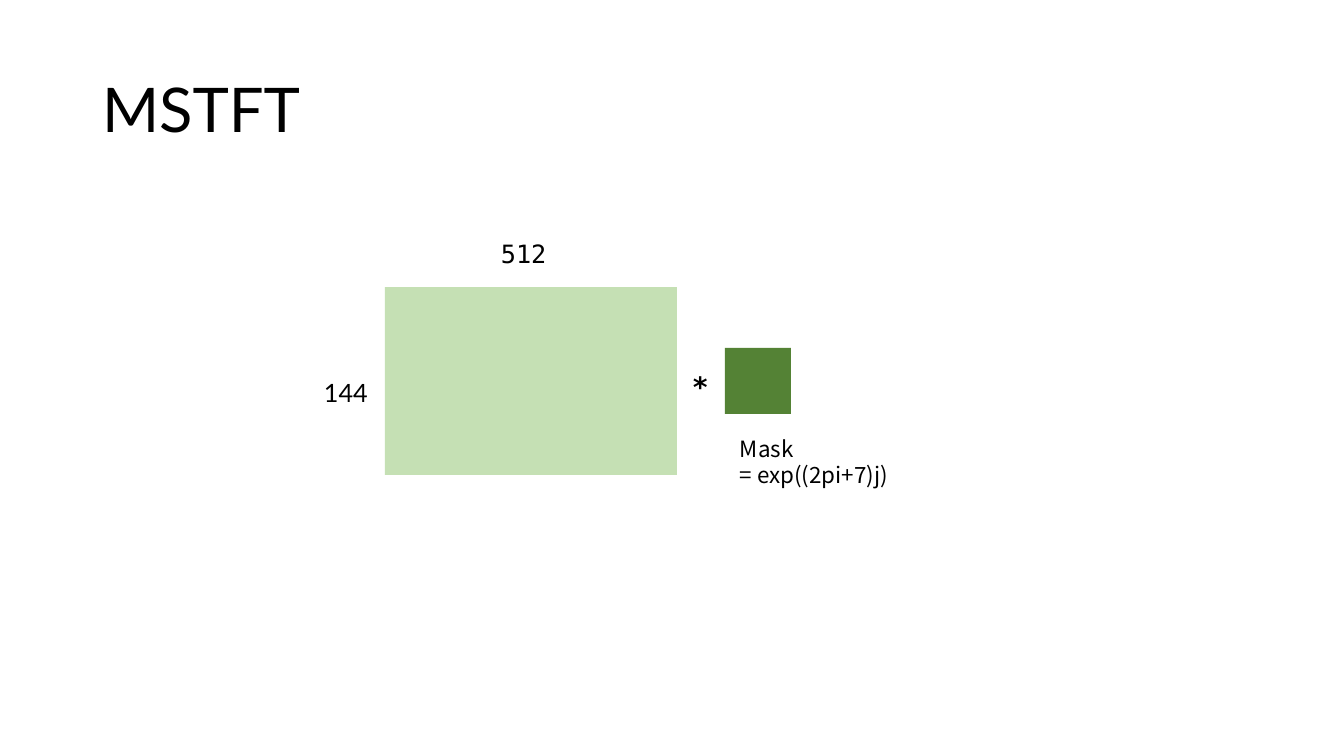
from pptx import Presentation
from pptx import util as u
from pptx.dml.color import RGBColor
from pptx.enum import shapes, text

SCALE = 914400 / 100.8
MONO = "DejaVu Sans Mono"
SANS = "Lato"


def px(n):
    return u.Emu(round(n * SCALE))


def color(code):
    return RGBColor.from_string(code)


def style(para, face, size, bold=False):
    font = para.font
    font.name = face
    font.size = u.Pt(size)
    font.bold = bold
    font.color.rgb = color("000000")


def title(slide, words, *box):
    head = slide.shapes.title
    head.left, head.top, head.width, head.height = map(px, box)
    frame = head.text_frame
    frame.text = words
    frame.vertical_anchor = text.MSO_ANCHOR.MIDDLE
    para = frame.paragraphs[0]
    para.alignment = text.PP_ALIGN.LEFT
    para.line_spacing = 0.9
    style(para, SANS, 44)


def label(parent, lines, box, face, size, bold=False, pitch=None):
    frame = parent.shapes.add_textbox(*map(px, box)).text_frame
    frame.word_wrap = True
    frame.text = "\n".join(lines)
    for para in frame.paragraphs:
        style(para, face, size, bold)
        if pitch:
            para.line_spacing = u.Pt(pitch)


def block(parent, box, fill):
    rect = parent.shapes.add_shape(shapes.MSO_SHAPE.RECTANGLE, *map(px, box))
    rect.shadow.inherit = False
    rect.fill.solid()
    rect.fill.fore_color.rgb = color(fill)
    rect.line.fill.background()


def main():
    deck = Presentation()
    deck.slide_width, deck.slide_height = px(1344), px(756)
    slide = deck.slides.add_slide(deck.slide_layouts[5])
    title(slide, "MSTFT", 92, 40, 1159, 146)

    label(slide, ["*"], (682, 365, 141, 44), MONO, 20, bold=True)
    label(slide, ["Mask", "= exp((2pi+7)j)"], (730, 430, 510, 65),
          "Noto Sans CJK KR", 16, pitch=19)
    block(slide, (725, 348, 66, 66), "548235")

    matrix = slide.shapes.add_group_shape()
    label(matrix, ["144"], (314, 372, 141, 40), SANS, 18)
    block(matrix, (385, 287, 292, 188), "C5E0B4")
    label(matrix, ["512"], (491, 233, 141, 40), MONO, 18)

    deck.save("out.pptx")


main()
